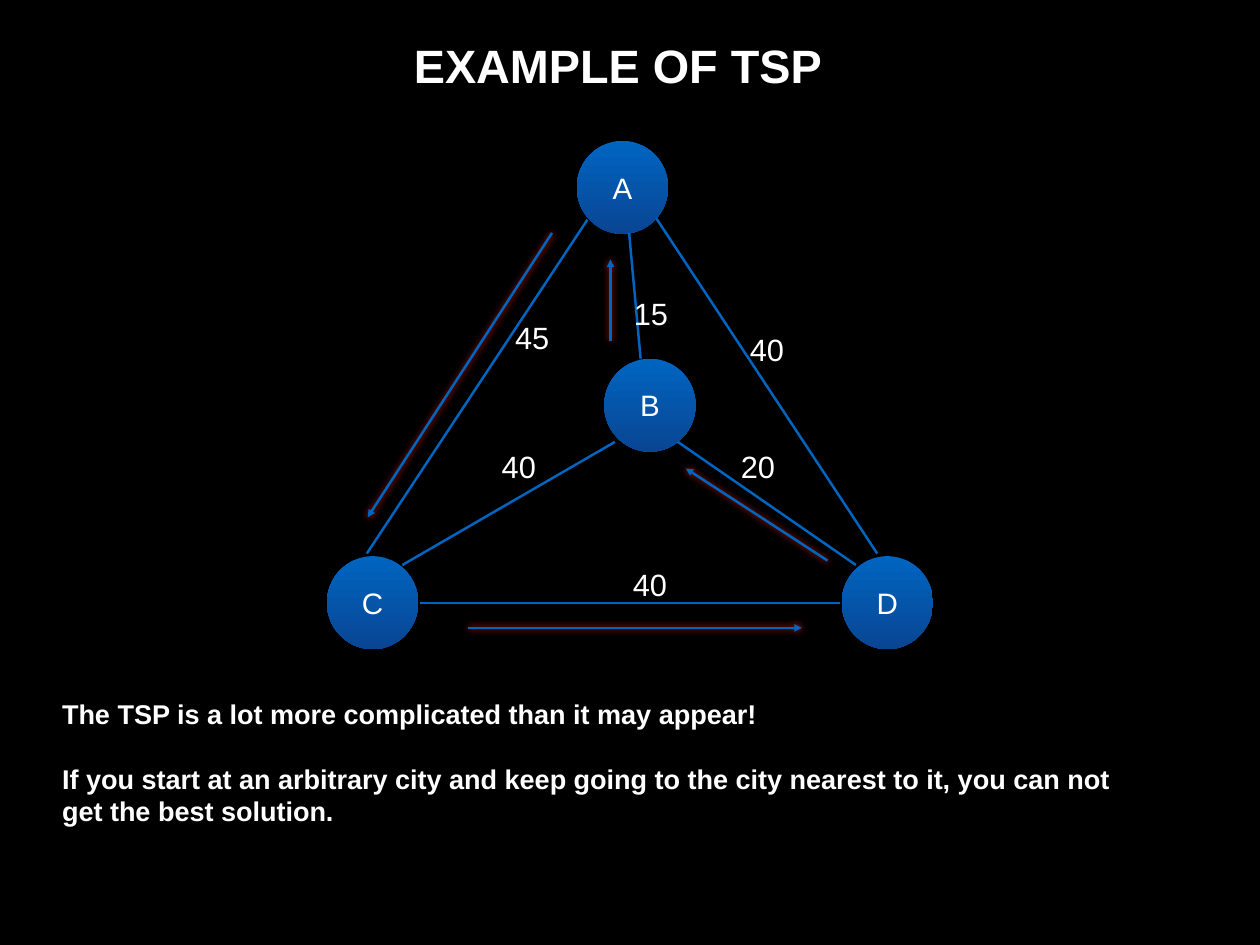
from lxml import etree
from pptx import Presentation
from pptx import util as u
from pptx.dml.color import RGBColor
from pptx.enum import shapes, text
from pptx.oxml import ns

HUES = {"back": "000000", "ink": "FFFFFF", "line": "0065C1", "deep": "094593", "glow": "FF2600"}
NODES = {"A": (2.82, 0), "B": (3.13, 2.46), "C": (0, 4.69), "D": (5.81, 4.69)}
EDGES = [
    ("20", (4.61, 3.41), (3.96, 3.4), (5.97, 4.79)),
    ("40", (1.91, 3.41), (0.85, 4.79), (3.25, 3.4)),
    ("45", (2.06, 1.95), (0.45, 4.66), (2.94, 0.89)),
    ("40", (4.71, 2.09), (3.72, 0.88), (6.21, 4.66)),
    ("40", (3.39, 4.74), (1.05, 5.22), (5.79, 5.22)),
    ("15", (3.4, 1.68), (3.54, 2.46), (3.41, 1.04)),
]
ROUTE = [
    ((1.59, 5.5), (5.36, 5.5)),
    ((3.2, 2.26), (3.2, 1.34)),
    ((2.54, 1.04), (0.46, 4.25)),
    ((5.65, 4.74), (4.05, 3.7)),
]


def hue(name):
    return RGBColor.from_string(HUES[name])


def write(shape, *lines, size, bold=False, align=text.PP_ALIGN.CENTER, wrap=True, gap=0):
    frame = shape.text_frame
    frame.word_wrap = wrap
    frame.vertical_anchor = text.MSO_ANCHOR.MIDDLE
    frame.margin_left = frame.margin_right = u.Inches(0.06)
    frame.margin_top = frame.margin_bottom = u.Inches(0.06)
    for i, line in enumerate(lines):
        para = frame.add_paragraph() if i else frame.paragraphs[0]
        para.alignment = align
        para.space_before = u.Pt(gap if i else 0)
        run = para.add_run()
        run.text = line
        run.font.name = "Arial"
        run.font.size = u.Pt(size)
        run.font.bold = bold
        run.font.color.rgb = hue("ink")


def label(slide, box, *lines, **form):
    write(slide.shapes.add_textbox(*map(u.Inches, box)), *lines, **form)


def node(slide, left, top, name):
    disc = slide.shapes.add_shape(
        shapes.MSO_SHAPE.OVAL, *map(u.Inches, (left, top, 1.03, 1.05)))
    disc.shadow.inherit = False
    disc.line.fill.background()
    disc.fill.gradient()
    disc.fill.gradient_angle = 270
    for stop, tone, place in zip(disc.fill.gradient_stops, ("line", "deep"), (0, 1)):
        stop.color.rgb = hue(tone)
        stop.position = place
    write(disc, name, size=24)


def link(slide, start, end, arrow=False):
    line = slide.shapes.add_connector(
        shapes.MSO_CONNECTOR.STRAIGHT, *map(u.Inches, (*start, *end)))
    line.line.color.rgb = hue("line")
    line.line.width = u.Pt(2)
    props = line._element.spPr
    effect = etree.SubElement(props, ns.qn("a:effectLst"))
    if arrow:
        etree.SubElement(props.find(ns.qn("a:ln")), ns.qn("a:tailEnd"), type="triangle")
        glow = etree.SubElement(effect, ns.qn("a:outerShdw"), blurRad=str(u.Pt(6)),
                                dist="0", dir="18300000", rotWithShape="0")
        tone = etree.SubElement(glow, ns.qn("a:srgbClr"), val=HUES["glow"])
        etree.SubElement(tone, ns.qn("a:alpha"), val="80000")


def graph(slide, left, top):
    def at(point):
        return left + point[0], top + point[1]

    for name, spot in NODES.items():
        node(slide, *at(spot), name)
    for cost, spot, start, end in EDGES:
        link(slide, at(start), at(end))
    for cost, spot, start, end in EDGES:
        label(slide, (*at(spot), 0.51, 0.53), cost, size=25, wrap=False)
    for start, end in ROUTE:
        link(slide, at(start), at(end), arrow=True)


def main():
    deck = Presentation()
    deck.slide_width = u.Inches(14.22)
    deck.slide_height = u.Inches(10.67)
    slide = deck.slides.add_slide(deck.slide_layouts[6])
    slide.background.fill.solid()
    slide.background.fill.fore_color.rgb = hue("back")
    graph(slide, 3.69, 1.59)
    label(slide, (4.61, 0.36, 4.73, 0.75), "EXAMPLE OF TSP", size=38, bold=True, wrap=False)
    label(slide, (0.64, 7.83, 12.49, 1.56),
          "The TSP is a lot more complicated than it may appear!",
          "If you start at an arbitrary city and keep going to the city nearest to it, "
          "you can not get the best solution.",
          size=22, bold=True, align=text.PP_ALIGN.LEFT, gap=26)
    deck.save("out.pptx")


if __name__ == "__main__":
    main()
